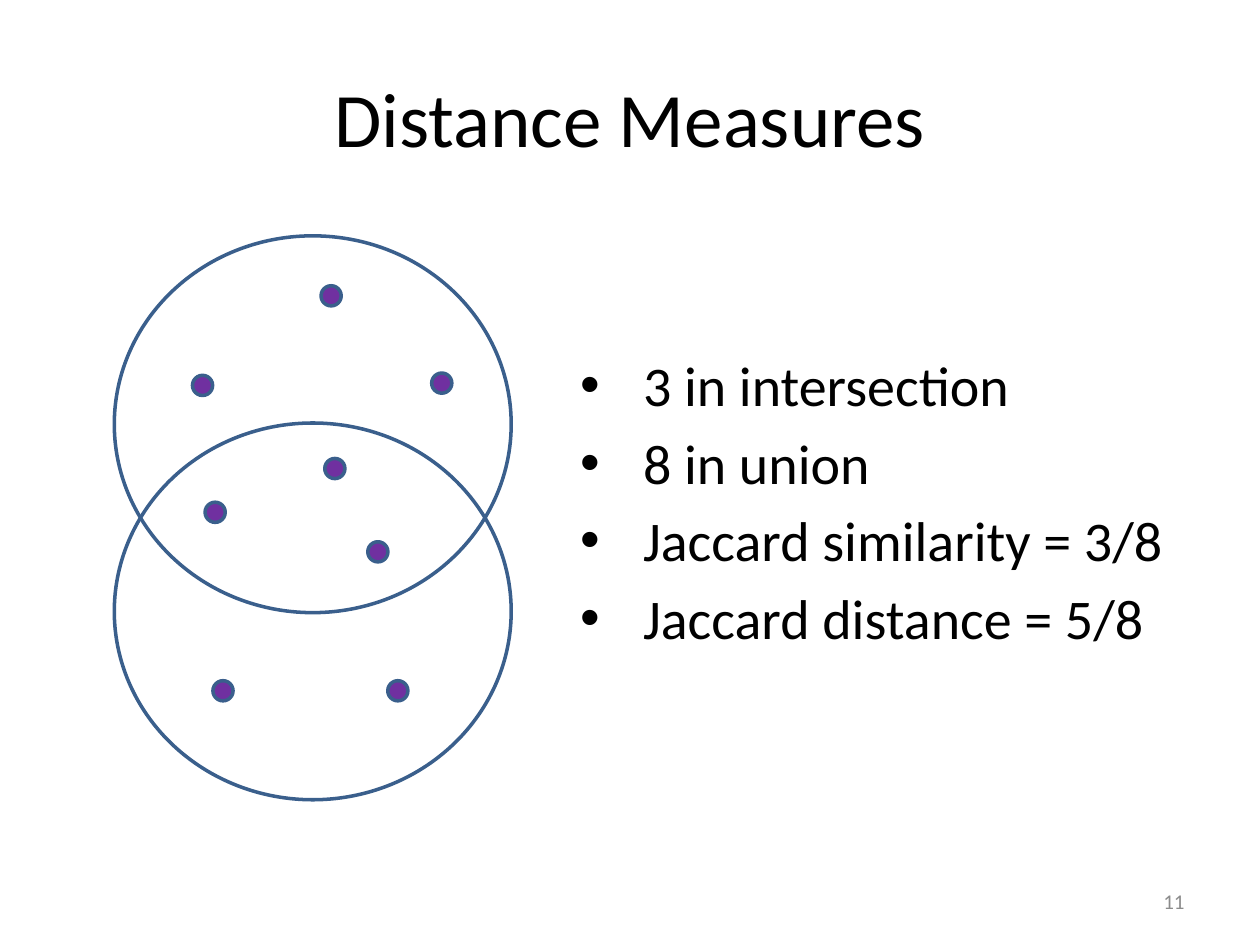
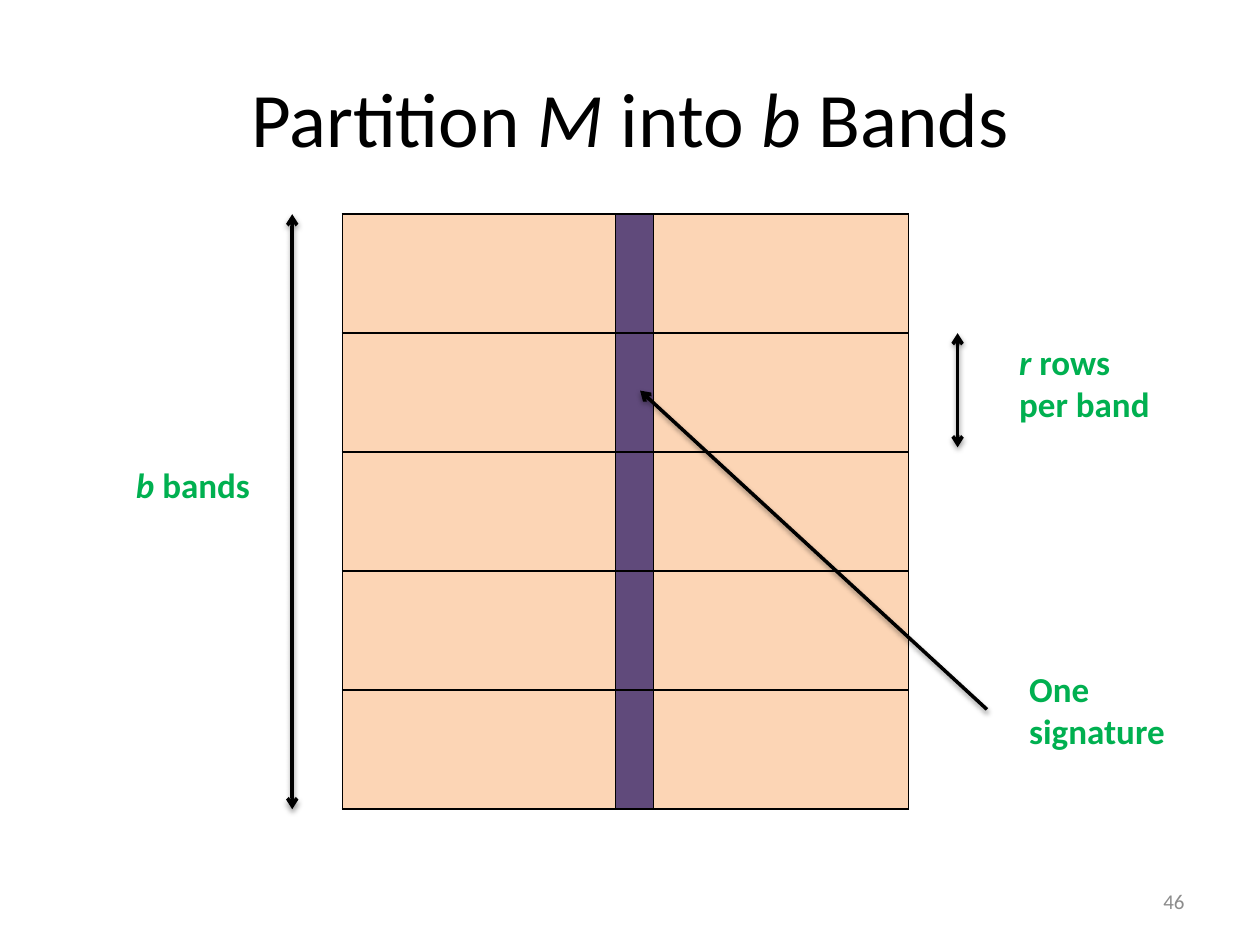
from lxml.etree import SubElement
from pptx import Presentation
from pptx.dml.color import RGBColor
from pptx.enum.shapes import MSO_CONNECTOR, MSO_SHAPE
from pptx.enum.text import MSO_ANCHOR, PP_ALIGN
from pptx.oxml import parse_xml
from pptx.oxml.ns import nsdecls, qn
from pptx.util import Pt

# Shared look
FONT = "Calibri"
BLACK, GREY, GREEN = "000000", "8C8C8C", "00B050"
OUTLINE, DOT = "3A5F8C", "7030A0"
PEACH, PURPLE = "FCD5B5", "604A7B"
TITLE = {"size": Pt(44)}
BODY = {"size": Pt(32)}
LABEL = {"size": Pt(20), "bold": True}
NUMBER = {"size": Pt(12)}


def rgb(hex_code):
    return RGBColor.from_string(hex_code)


def add_runs(p, text, fmt, color):
    """Write text into a paragraph; parts between asterisks are italic."""
    for i, part in enumerate(text.split("*")):
        if part:
            r = p.add_run()
            r.text = part
            r.font.color.rgb = rgb(color)
            for name, value in {"name": FONT, "italic": i % 2 == 1, **fmt}.items():
                setattr(r.font, name, value)


def add_text(s, box, lines, fmt, color=BLACK, align=PP_ALIGN.LEFT, anchor=MSO_ANCHOR.TOP):
    tf = s.shapes.add_textbox(*map(Pt, box)).text_frame
    tf.word_wrap = True
    tf.vertical_anchor = anchor
    for i, line in enumerate(lines):
        p = tf.paragraphs[0] if i == 0 else tf.add_paragraph()
        p.alignment = align
        add_runs(p, line, fmt, color)
    return tf


def add_bullets(s, box, lines):
    tf = add_text(s, box, lines, BODY)
    for p in tf.paragraphs:
        p.space_before = Pt(6)
        pPr = p._p.get_or_add_pPr()
        pPr.set("marL", str(Pt(40)))
        pPr.set("indent", str(Pt(-36)))
        SubElement(pPr, qn("a:buFont"), typeface="Arial")
        SubElement(pPr, qn("a:buChar"), char="•")


def add_circle(s, left, top, width, height, fill=None):
    sp = s.shapes.add_shape(MSO_SHAPE.OVAL, *map(Pt, (left, top, width, height)))
    sp.shadow.inherit = False
    sp.line.color.rgb = rgb(OUTLINE)
    sp.line.width = Pt(2)
    if fill:
        sp.fill.solid()
        sp.fill.fore_color.rgb = rgb(fill)
    else:
        sp.fill.background()


def add_arrow(s, start, end, both=False):
    line = s.shapes.add_connector(MSO_CONNECTOR.STRAIGHT, *map(Pt, start + end))
    line.line.color.rgb = rgb(BLACK)
    line.line.width = Pt(2)
    ln = line.line._get_or_add_ln()
    for tag in ("a:headEnd", "a:tailEnd") if both else ("a:tailEnd",):
        SubElement(ln, qn(tag), type="arrow")
    # Soft shadow straight below
    line._element.spPr.append(parse_xml(
        f'<a:effectLst {nsdecls("a")}><a:outerShdw blurRad="{Pt(3.1)}" dist="{Pt(1.6)}" '
        f'dir="5400000" rotWithShape="0"><a:srgbClr val="{BLACK}"><a:alpha val="38000"/>'
        '</a:srgbClr></a:outerShdw></a:effectLst>'))


def add_cell_borders(cell):
    tcPr = cell._tc.get_or_add_tcPr()
    for i, side in enumerate("LRTB"):
        tcPr.insert(i, parse_xml(
            f'<a:ln{side} {nsdecls("a")} w="{Pt(1)}"><a:solidFill>'
            f'<a:srgbClr val="{BLACK}"/></a:solidFill></a:ln{side}>'))


def add_grid(s, left, top, col_widths, row_height, row_count, col_fills):
    size = (left, top, sum(col_widths), row_height * row_count)
    table = s.shapes.add_table(row_count, len(col_widths), *map(Pt, size)).table
    table.first_row = table.horz_banding = False
    for col, width in zip(table.columns, col_widths):
        col.width = Pt(width)
    for row in table.rows:
        row.height = Pt(row_height)
        for cell, fill in zip(row.cells, col_fills):
            cell.fill.solid()
            cell.fill.fore_color.rgb = rgb(fill)
            add_cell_borders(cell)


def new_slide(prs, title, number):
    s = prs.slides.add_slide(prs.slide_layouts[6])
    add_text(s, (36, 21.6, 648, 90), [title], TITLE,
             align=PP_ALIGN.CENTER, anchor=MSO_ANCHOR.MIDDLE)
    add_text(s, (516, 500.5, 168, 28.8), [str(number)], NUMBER, GREY,
             PP_ALIGN.RIGHT, MSO_ANCHOR.MIDDLE)
    return s


def distance_measures(prs):
    s = new_slide(prs, "Distance Measures", 11)
    add_bullets(s, (320.4, 196.6, 375, 201), [
        "3 in intersection", "8 in union",
        "Jaccard similarity = 3/8", "Jaccard distance = 5/8"])
    # Two overlapping sets
    for top in (134.8, 241.7):
        add_circle(s, 65.3, top, 226.8, 215.3)
    # Elements: top set only, intersection, bottom set only
    dots = [(110, 214.5), (183.5, 163.3), (246.7, 213.2),
            (210.2, 309.6), (185.6, 262), (117.2, 287),
            (121.7, 389), (221.6, 389)]
    for left, top in dots:
        add_circle(s, left, top, 11.5, 11.5, DOT)


def partition_bands(prs):
    s = new_slide(prs, "Partition *M* into *b* Bands", 46)
    # Signature matrix with one highlighted column
    top, band, bands = 122.4, 68, 5
    add_grid(s, 195.6, top, (156.2, 21.6, 145.9), band, bands, (PEACH, PURPLE, PEACH))
    # Labels
    add_text(s, (70.6, 261.4, 90.7, 31.5), ["*b* bands"], LABEL, GREEN)
    add_text(s, (581, 378, 118.8, 55.7), ["One signature"], LABEL, GREEN)
    add_text(s, (575.3, 190.8, 113, 55.7), ["*r* rows", "per band"], LABEL, GREEN)
    # Measures and pointer
    add_arrow(s, (167, top), (167, top + band * bands), both=True)
    add_arrow(s, (547.2, top + band), (547.2, 255.6), both=True)
    add_arrow(s, (564, 405.4), (365.8, 223.2))


def main():
    prs = Presentation()
    prs.slide_width, prs.slide_height = Pt(720), Pt(540)
    distance_measures(prs)
    partition_bands(prs)
    prs.save("out.pptx")


if __name__ == "__main__":
    main()
